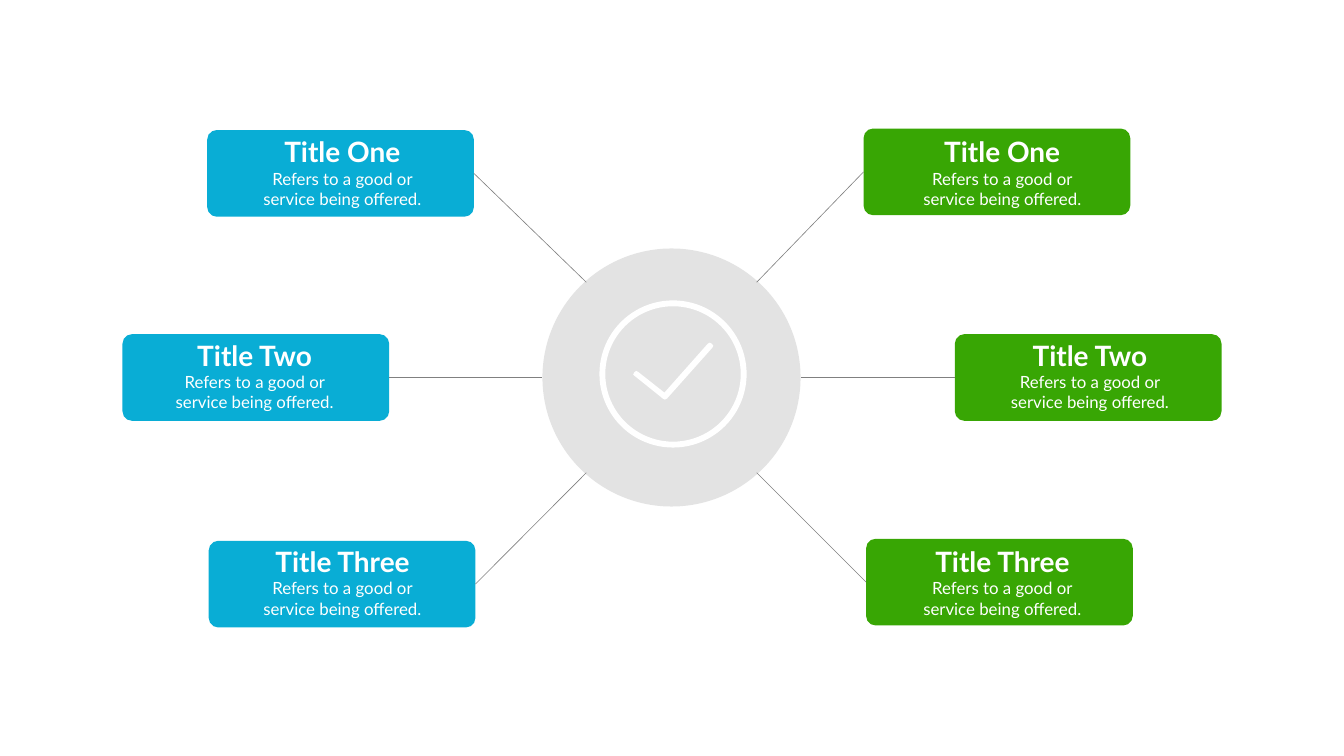
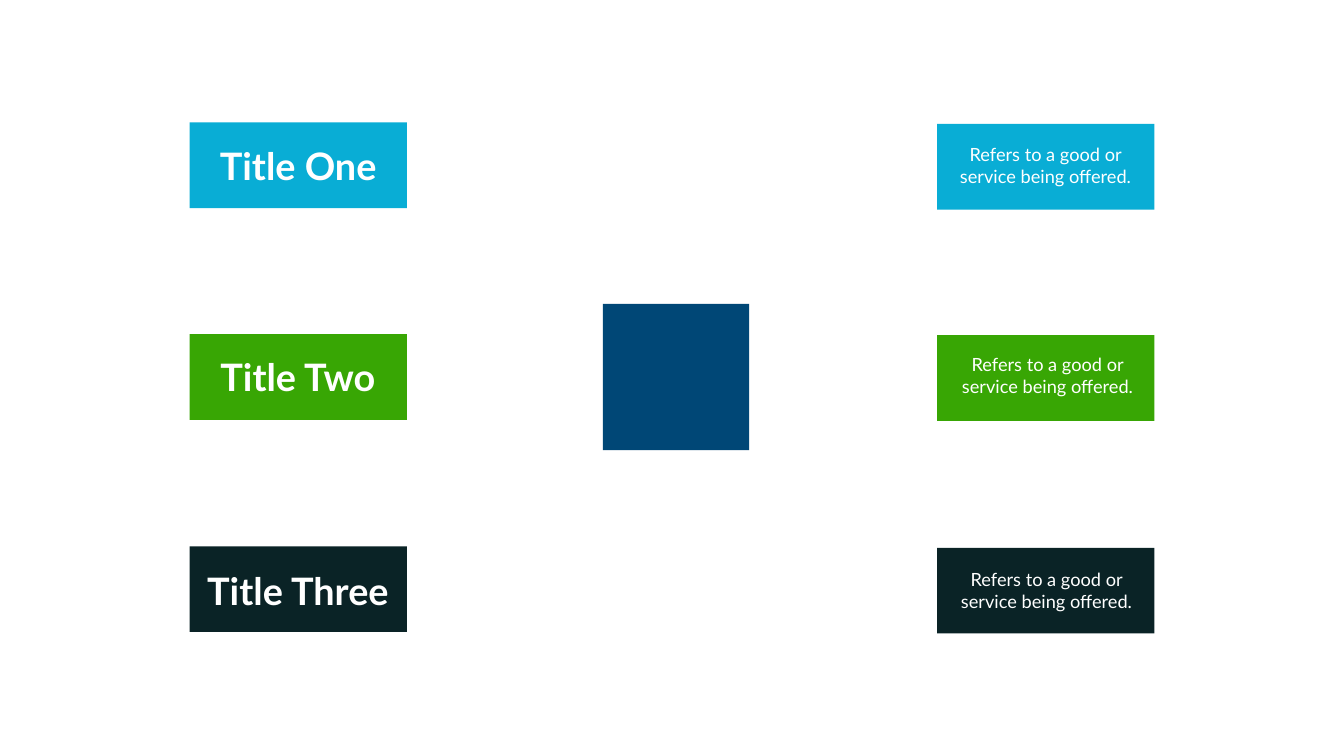
from lxml import etree
from pptx import Presentation
from pptx import util as u
from pptx.dml.color import RGBColor
from pptx.enum import shapes, text
from pptx.oxml.ns import qn

PX = 9144  # EMU per px, 100 px to the inch
WIDTH, HEIGHT = 2666, 1500
FONT = "Lato"
COLORS = {"blue": "09ADD5", "green": "38A604", "dark": "0A2326",
          "navy": "004776", "grey": "808080", "white": "FFFFFF"}
HEADINGS = ["Title One", "Title Two", "Title Three"]
DESCRIPTION = "Refers to a good or service being offered."

# Hub slide: card left, card top, centre of its text; one card per heading
HUB_SIDES = [
    {"color": "blue", "spoke_site": 3, "direction": -1,
     "cards": [(411, 258, 679), (243, 663, 505), (414, 1073, 679)]},
    {"color": "green", "spoke_site": 1, "direction": 1,
     "cards": [(1713, 255, 1988), (1894, 663, 2162), (1718, 1069, 1988)]},
]
HUB_HEADINGS = [(262, 254), (666, 258), (1075, 293)]  # top, width
CARD_W, CARD_H = 529, 172
HUB_X, HUB_Y, HUB_R = 1332, 749, 256
SPOKE_TIPS = [(169, -189), (HUB_R, 0), (169, 189)]  # from the hub's centre
CHECK_MARK = [(1404, 682), (1318, 779), (1266, 738), (1262, 736), (1258, 739),
              (1256, 743), (1259, 746), (1315, 791), (1319, 793), (1323, 791),
              (1413, 690), (1415, 686), (1412, 682), (1408, 680)]

# Pairs slide: colour, top of left and right block, heading (top, width),
# description (left, top)
PAIRS = [
    ("blue", 243, 246, (278, 335), (1862, 279)),
    ("green", 663, 665, (697, 340), (1866, 696)),
    ("dark", 1084, 1087, (1121, 388), (1864, 1123)),
]
BLOCK_W, BLOCK_H = 431, 170
LEFT_BLOCK, RIGHT_BLOCK = 376, 1859


def px(*lengths):
    return [u.Emu(length * PX) for length in lengths]


def rgb(color):
    return RGBColor.from_string(COLORS[color])


def paint(shape, color):
    """Give a shape a plain fill with no outline or shadow."""
    shape.shadow.inherit = False
    shape.fill.solid()
    shape.fill.fore_color.rgb = rgb(color)
    shape.line.fill.background()
    return shape


def add_filled(slide, preset, box, color, adjustment=None):
    shape = paint(slide.shapes.add_shape(preset, *px(*box)), color)
    if adjustment is not None:
        shape.adjustments[0] = adjustment
    return shape


def add_label(slide, wording, box, size, heading=False):
    """Add centred white text; a heading is bold and stays on one line."""
    label = slide.shapes.add_textbox(*px(*box))
    frame = label.text_frame
    frame.text = wording
    frame.word_wrap = not heading
    frame.auto_size = text.MSO_AUTO_SIZE.SHAPE_TO_FIT_TEXT
    paragraph = frame.paragraphs[0]
    paragraph.alignment = text.PP_ALIGN.CENTER
    font = paragraph.runs[0].font
    font.name, font.size = FONT, u.Pt(size)
    font.color.rgb = rgb("white")
    if heading:
        font.bold = True


def add_spoke(slide, card, site, tip):
    """Draw a line from the side of a card to the rim of the hub."""
    spoke = slide.shapes.add_connector(
        shapes.MSO_CONNECTOR.STRAIGHT, card.left, card.top, *px(*tip))
    spoke.begin_connect(card, site)
    spoke.line.color.rgb = rgb("grey")
    spoke.line.width = u.Pt(0.88)
    etree.SubElement(spoke._element.spPr, qn("a:effectLst"))


def add_hub(slide):
    preset = shapes.MSO_SHAPE
    diameter = 2 * HUB_R
    hub = add_filled(slide, preset.OVAL,
                     (HUB_X - HUB_R, HUB_Y - HUB_R, diameter, diameter), "grey")
    hub_color = hub._element.spPr.find(qn("a:solidFill"))[0]
    etree.SubElement(hub_color, qn("a:alpha"), val="22000")
    add_filled(slide, preset.DONUT, (1189, 596, 292, 292), "white", 0.04)
    outline = slide.shapes.build_freeform(*CHECK_MARK[0], scale=PX)
    outline.add_line_segments(CHECK_MARK[1:], close=True)
    paint(outline.convert_to_shape(), "white")


def build_hub_slide(slide):
    add_hub(slide)
    for side in HUB_SIDES:
        rows = zip(HEADINGS, HUB_HEADINGS, side["cards"], SPOKE_TIPS)
        for heading, (top, width), (card_x, card_y, center), (dx, dy) in rows:
            card = add_filled(slide, shapes.MSO_SHAPE.ROUNDED_RECTANGLE,
                              (card_x, card_y, CARD_W, CARD_H),
                              side["color"], 0.11)
            add_spoke(slide, card, side["spoke_site"],
                      (HUB_X + side["direction"] * dx, HUB_Y + dy))
            add_label(slide, heading, (center - width // 2, top, width, 77),
                      40, heading=True)
            add_label(slide, DESCRIPTION, (center - 181, top + 67, 362, 91), 24)


def build_pairs_slide(slide):
    rectangle = shapes.MSO_SHAPE.RECTANGLE
    add_filled(slide, rectangle, (1196, 603, 290, 290), "navy")
    for heading, pair in zip(HEADINGS, PAIRS):
        color, left_top, right_top, (top, width), description_at = pair
        for x, y in ((LEFT_BLOCK, left_top), (RIGHT_BLOCK, right_top)):
            add_filled(slide, rectangle, (x, y, BLOCK_W, BLOCK_H), color)
        heading_x = LEFT_BLOCK + (BLOCK_W - width) // 2
        add_label(slide, heading, (heading_x, top, width, 101), 54, heading=True)
        add_label(slide, DESCRIPTION, (*description_at, 424, 98), 26)


def main():
    deck = Presentation()
    deck.slide_width, deck.slide_height = px(WIDTH, HEIGHT)
    blank = deck.slide_layouts[6]
    for build in (build_hub_slide, build_pairs_slide):
        build(deck.slides.add_slide(blank))
    deck.save("out.pptx")


if __name__ == "__main__":
    main()
